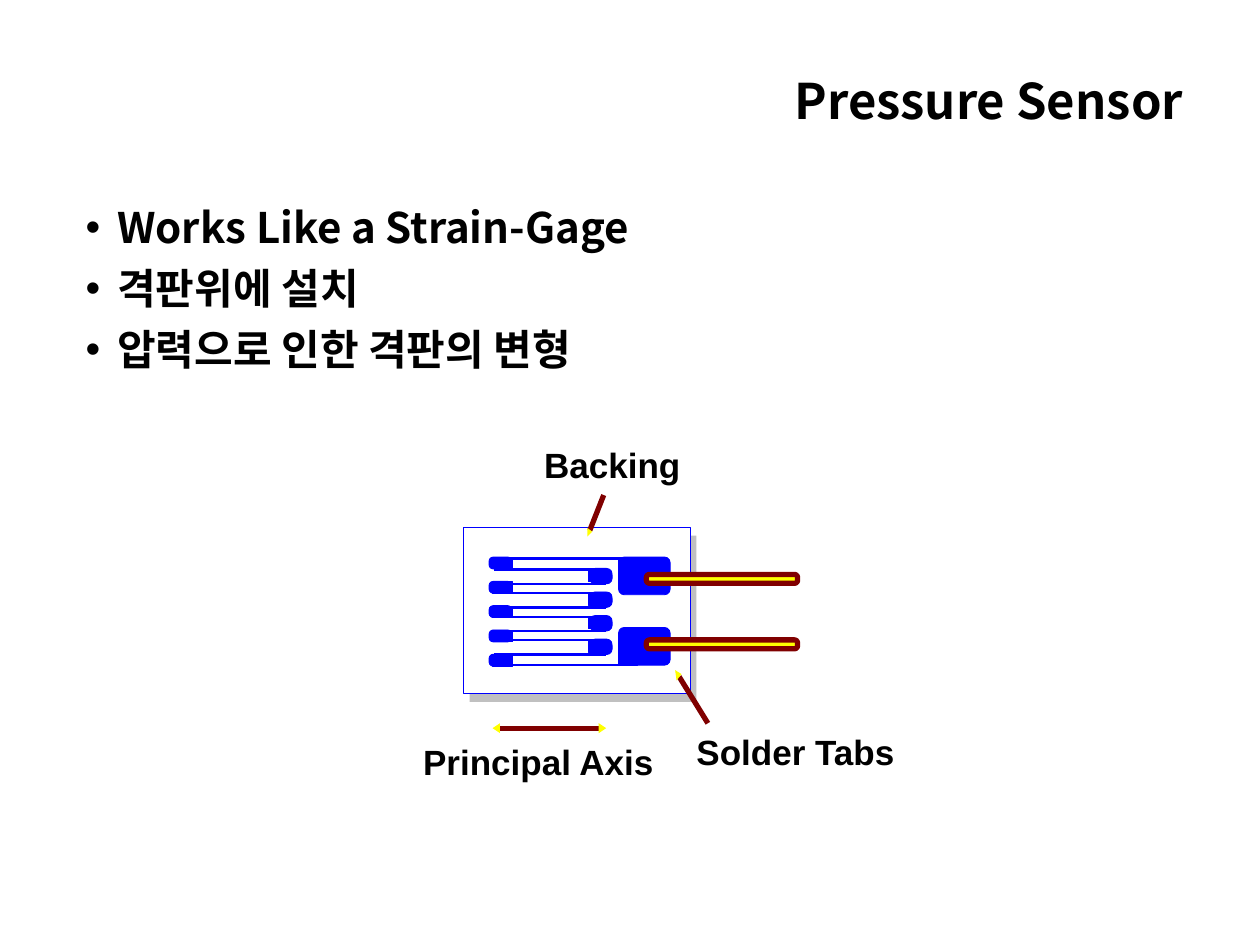
from lxml.etree import SubElement
from pptx import Presentation
from pptx.dml.color import RGBColor
from pptx.enum.shapes import MSO_CONNECTOR, MSO_SHAPE
from pptx.enum.text import MSO_ANCHOR, MSO_AUTO_SIZE, PP_ALIGN
from pptx.oxml.ns import qn
from pptx.util import Cm, Pt

COLORS = {
    name: RGBColor.from_string(value)
    for name, value in {
        "black": "000000",
        "white": "FFFFFF",
        "shadow": "C0C0C0",
        "foil": "0000FF",
        "lead": "800000",
        "tip": "FFFF00",
    }.items()
}
HEADING_FONT = "Noto Sans CJK KR"

presentation = Presentation()
presentation.slide_width = Cm(25.4)
presentation.slide_height = Cm(19.05)
slide = presentation.slides.add_slide(presentation.slide_layouts[1])
shapes = slide.shapes


def add_block(left, top, width, height, fill, line=None, points=0.5, rounding=0):
    kind = MSO_SHAPE.ROUNDED_RECTANGLE if rounding else MSO_SHAPE.RECTANGLE
    block = shapes.add_shape(kind, Cm(left), Cm(top), Cm(width), Cm(height))
    block.shadow.inherit = False
    block.fill.solid()
    block.fill.fore_color.rgb = COLORS[fill]
    if rounding:
        block.adjustments[0] = rounding
    if line:
        block.line.color.rgb = COLORS[line]
        block.line.width = Pt(points)
    else:
        block.line.fill.background()


def add_line(start_x, start_y, end_x, end_y, color, points):
    line = shapes.add_connector(
        MSO_CONNECTOR.STRAIGHT, Cm(start_x), Cm(start_y), Cm(end_x), Cm(end_y)
    )
    line.line.color.rgb = COLORS[color]
    line.line.width = Pt(points)
    SubElement(line._element.spPr, qn("a:effectLst"))


title = shapes.title
title.left, title.top, title.width, title.height = Cm(9.3), Cm(1.22), Cm(14.8), Cm(1.6)
title.fill.solid()
title.fill.fore_color.rgb = COLORS["white"]
title.text_frame.text = "Pressure Sensor"
title.text_frame.vertical_anchor = MSO_ANCHOR.MIDDLE
title.text_frame.paragraphs[0].alignment = PP_ALIGN.RIGHT

body = slide.placeholders[1]
body.left, body.top, body.width, body.height = Cm(1.47), Cm(3.94), Cm(17.83), Cm(4.8)
body.text_frame.text = "Works Like a Strain-Gage\n격판위에 설치\n압력으로 인한 격판의 변형"

for index, paragraph in enumerate(body.text_frame.paragraphs):
    paragraph.space_before = Pt(6 if index else 0)
    properties = paragraph._p.get_or_add_pPr()
    properties.set("marL", str(Cm(0.64)))
    properties.set("indent", str(-Cm(0.64)))
    SubElement(properties, qn("a:buChar"), char="•")

for placeholder, size in ((title, 28), (body, 24)):
    placeholder.text_frame.auto_size = MSO_AUTO_SIZE.NONE
    for paragraph in placeholder.text_frame.paragraphs:
        paragraph.font.name = HEADING_FONT
        paragraph.font.size = Pt(size)
        paragraph.font.bold = True
        paragraph.font.color.rgb = COLORS["black"]
        defaults = paragraph._p.pPr.find(qn("a:defRPr"))
        SubElement(defaults, qn("a:ea"), typeface=HEADING_FONT)

for text, left, top, width in (
    ("Backing", 10.72, 8.92, 3.28),
    ("Principal Axis", 8.28, 14.91, 5.18),
    ("Solder Tabs", 13.79, 14.71, 4.57),
):
    label = shapes.add_textbox(Cm(left), Cm(top), Cm(width), Cm(1.02))
    label.text_frame.word_wrap = False
    paragraph = label.text_frame.paragraphs[0]
    paragraph.text = text
    paragraph.line_spacing = 0.89
    paragraph.font.name = "Arial"
    paragraph.font.size = Pt(20)
    paragraph.font.bold = True
    paragraph.font.color.rgb = COLORS["black"]

add_block(9.47, 10.8, 4.57, 3.35, "shadow")
add_block(9.35, 10.64, 4.57, 3.35, "white", "foil")

for wire_y in (11.26, 13.4):
    add_line(9.96, wire_y, 12.7, wire_y, "foil", 1.25)

for row in range(5):
    top = 11.23 + 0.49 * row
    add_block(9.86, top, 0.46, 0.24, "foil", "foil", rounding=0.35)
    add_block(9.93, top + 0.01, 0.41, 0.23, "foil", "foil")

for row in range(4):
    top = 11.46 + 0.475 * row
    for wire_y in (top + 0.02, top + 0.31):
        add_line(9.96, wire_y, 12.22, wire_y, "foil", 1.25)
    add_block(11.89, top, 0.45, 0.31, "foil", "foil", rounding=0.35)
    add_block(11.86, top + 0.04, 0.41, 0.23, "foil", "foil")

for pad_top, corner_top in ((11.23, 11.23), (12.65, 12.85)):
    add_block(12.47, pad_top, 1.04, 0.76, "foil", "foil", rounding=0.15)
    add_block(12.47, corner_top, 0.38, 0.56, "foil", "foil")

for lead_top in (11.58, 12.9):
    add_block(13.03, lead_top, 3.05, 0.18, "tip", "lead", 3, 0.35)

for ends in (
    (12.17, 9.98, 11.89, 10.69),
    (14.27, 14.58, 13.69, 13.64),
    (12.09, 14.68, 10.06, 14.68),
):
    add_line(*ends, "lead", 3)

for corners in (
    ((11.94, 10.72), (11.84, 10.82), (11.84, 10.64)),
    ((13.64, 13.72), (13.61, 13.51), (13.74, 13.59)),
    ((12.07, 14.78), (12.22, 14.68), (12.07, 14.58)),
    ((10.08, 14.78), (9.93, 14.68), (10.08, 14.58)),
):
    points = [(Cm(x), Cm(y)) for x, y in corners]
    builder = shapes.build_freeform(*points[0])
    builder.add_line_segments(points[1:], close=True)
    arrow_tip = builder.convert_to_shape()
    arrow_tip.shadow.inherit = False
    arrow_tip.fill.solid()
    arrow_tip.fill.fore_color.rgb = COLORS["tip"]
    arrow_tip.line.fill.background()

presentation.save("out.pptx")
